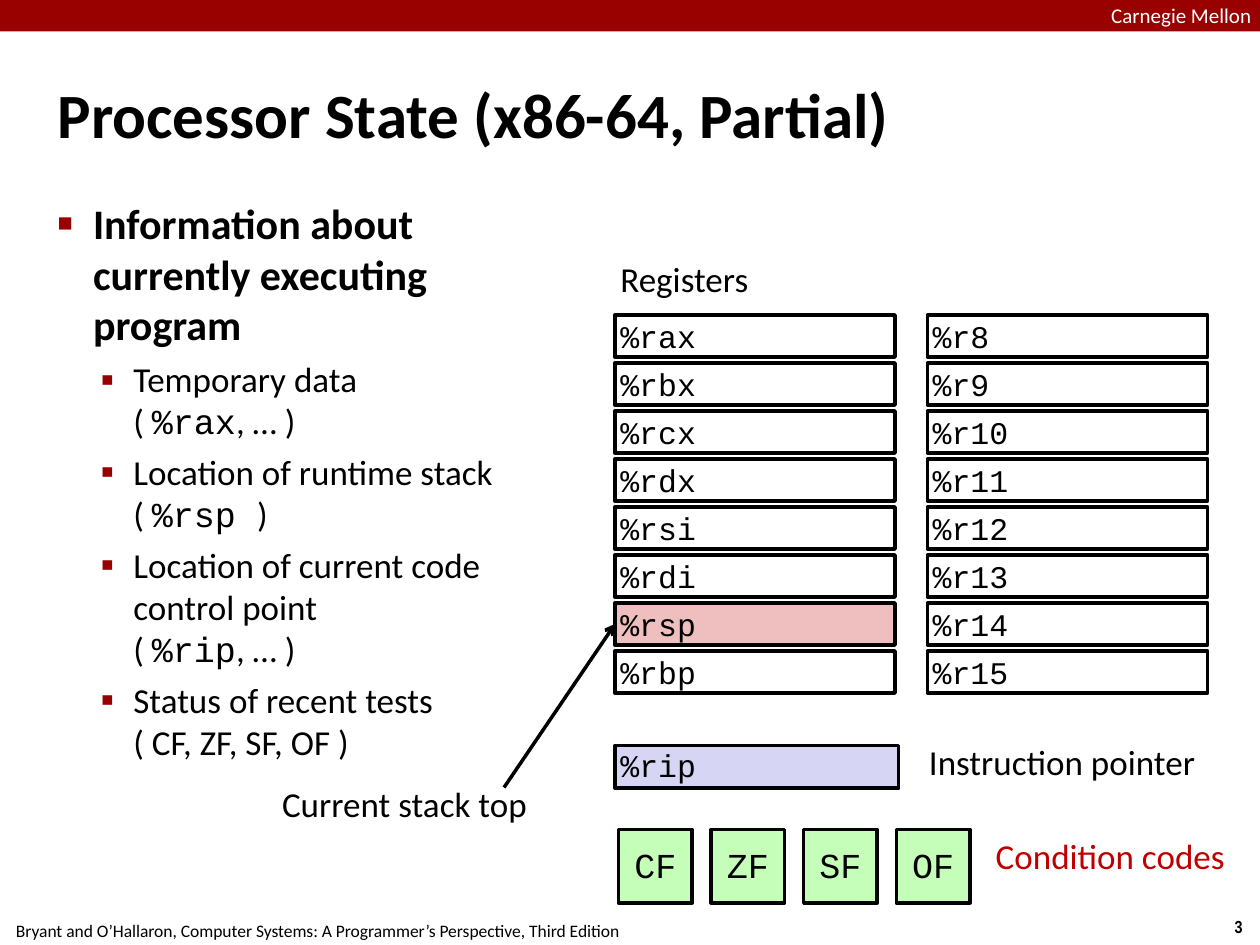
from dataclasses import dataclass
from typing import Optional

from lxml import etree
from pptx import Presentation
from pptx.dml.color import RGBColor
from pptx.enum.shapes import MSO_CONNECTOR, MSO_SHAPE
from pptx.enum.text import MSO_ANCHOR, MSO_AUTO_SIZE, PP_ALIGN
from pptx.oxml.ns import qn
from pptx.util import Pt

LEFT, CENTER = PP_ALIGN.LEFT, PP_ALIGN.CENTER
TOP, MIDDLE = MSO_ANCHOR.TOP, MSO_ANCHOR.MIDDLE
RECT, STRAIGHT = MSO_SHAPE.RECTANGLE, MSO_CONNECTOR.STRAIGHT
NO_FIT = MSO_AUTO_SIZE.NONE
SANS, MONO, NARROW = "Calibri", "Courier New", "Arial Narrow"
BLACK, WHITE, RED = "000000", "FFFFFF", "990000"
INSET = 3


@dataclass
class Label:
    text: str
    x: float
    y: float
    w: float
    h: float
    size: float = 20
    color: str = BLACK
    align: PP_ALIGN = LEFT
    font: str = SANS
    bold: bool = False
    wrap: bool = False
    inset_x: float = INSET
    inset_y: float = INSET


@dataclass
class Box:
    text: str
    x: float
    y: float
    w: float
    h: float
    fill: Optional[str] = None
    size: float = 18
    align: PP_ALIGN = LEFT
    spacing: float = 1.0


@dataclass
class Bullet:
    runs: list[tuple[str, str]]
    level: int = 1


@dataclass
class BulletStyle:
    char: str
    percent: int
    margin: float
    indent: float
    before: float
    size: float
    bold: bool


STYLES = [
    BulletStyle("■", 60, 20.16, -20.16, 6, 24, True),
    BulletStyle("▪", 110, 43.2, -18.72, 5, 20, False),
]

BULLETS = [
    Bullet([("Information about currently executing program", SANS)], 0),
    Bullet([("Temporary data\n( ", SANS), ("%rax", MONO), (", … )", SANS)]),
    Bullet([("Location of runtime stack\n( ", SANS), ("%rsp ", MONO), (")", SANS)]),
    Bullet([("Location of current code control point\n( ", SANS),
            ("%rip", MONO), (", … )", SANS)]),
    Bullet([("Status of recent tests\n( CF, ZF, SF, OF )", SANS)]),
]

LABELS = [
    Label("3", 695.52, 519.84, 24.48, 19.44, 10, align=CENTER, font=NARROW,
          bold=True, inset_x=7.2, inset_y=3.6),
    Label("Bryant and O’Hallaron, Computer Systems: A Programmer’s Perspective, "
          "Third Edition", 0, 522, 362.88, 19.44, 10, align=CENTER,
          inset_x=7.2, inset_y=3.6),
    Label("Carnegie Mellon", 635, 1.44, 85, 13.68, 12, WHITE, wrap=True,
          inset_x=0, inset_y=0),
    Label("Registers", 351.5, 144, 80.64, 30),
    Label("Current stack top", 156.24, 444, 149.76, 30, align=CENTER),
    Label("Instruction pointer", 525.6, 420, 162.72, 30, align=CENTER),
    Label("Condition codes", 566, 474, 141.84, 35.28, color="C00000", wrap=True),
]

REGISTER_COLUMNS = [
    (351.5, ["%rax", "%rbx", "%rcx", "%rdx", "%rsi", "%rdi", "%rsp", "%rbp"]),
    (530, [f"%r{n}" for n in range(8, 16)]),
]
REGISTER_TOP, REGISTER_PITCH = 180, 27.43
REGISTER_W, REGISTER_H = 160, 24
FLAG_LEFT, FLAG_PITCH, FLAG_SIDE = 353.5, 52.9, 42


def rgb(color: str) -> RGBColor:
    return RGBColor.from_string(color)


def set_frame(tf, anchor, wrap: bool, inset_x: float = INSET, inset_y: float = INSET) -> None:
    tf.auto_size = NO_FIT
    tf.word_wrap = wrap
    tf.vertical_anchor = anchor
    tf.margin_left = tf.margin_right = Pt(inset_x)
    tf.margin_top = tf.margin_bottom = Pt(inset_y)


def add_run(p, text: str, size: float, color: str = BLACK, font: str = SANS,
            bold: bool = False) -> None:
    for i, line in enumerate(text.split("\n")):
        if i:
            p.add_line_break()
        r = p.add_run()
        r.text = line
        r.font.size, r.font.name, r.font.bold = Pt(size), font, bold
        r.font.color.rgb = rgb(color)


def set_indent(p, margin: float, indent: float):
    pPr = p._p.get_or_add_pPr()
    pPr.set("marL", str(Pt(margin)))
    pPr.set("indent", str(Pt(indent)))
    return pPr


def place(sp, x: float, y: float, w: float, h: float) -> None:
    sp.left, sp.top, sp.width, sp.height = Pt(x), Pt(y), Pt(w), Pt(h)


def fill_title(sp, text: str) -> None:
    place(sp, 30, 20, 660, 90)
    set_frame(sp.text_frame, MIDDLE, True)
    p = sp.text_frame.paragraphs[0]
    p.alignment = LEFT
    set_indent(p, 9.36, -9.36)
    add_run(p, text, 36, bold=True)


def fill_body(sp, bullets: list[Bullet]) -> None:
    place(sp, 30, 110, 263, 427.5)
    tf = sp.text_frame
    set_frame(tf, TOP, True)
    for i, bullet in enumerate(bullets):
        p = tf.add_paragraph() if i else tf.paragraphs[0]
        style = STYLES[bullet.level]
        p.level = bullet.level
        pPr = set_indent(p, style.margin, style.indent)
        color = etree.SubElement(pPr, qn("a:buClr"))
        etree.SubElement(color, qn("a:srgbClr"), val=RED)
        etree.SubElement(pPr, qn("a:buSzPct"), val=str(style.percent * 1000))
        etree.SubElement(pPr, qn("a:buChar"), char=style.char)
        p.space_before = Pt(style.before if i else 0)
        for text, font in bullet.runs:
            add_run(p, text, style.size, font=font, bold=style.bold)


def add_label(shapes, label: Label) -> None:
    sp = shapes.add_textbox(Pt(label.x), Pt(label.y), Pt(label.w), Pt(label.h))
    set_frame(sp.text_frame, TOP, label.wrap, label.inset_x, label.inset_y)
    p = sp.text_frame.paragraphs[0]
    p.alignment = label.align
    add_run(p, label.text, label.size, label.color, label.font, label.bold)


def add_box(shapes, box: Box):
    sp = shapes.add_shape(RECT, Pt(box.x), Pt(box.y), Pt(box.w), Pt(box.h))
    sp.shadow.inherit = False
    if box.fill:
        sp.fill.solid()
        sp.fill.fore_color.rgb = rgb(box.fill)
    else:
        sp.fill.background()
    sp.line.color.rgb = rgb(BLACK)
    sp.line.width = Pt(2)
    set_frame(sp.text_frame, MIDDLE, True)
    p = sp.text_frame.paragraphs[0]
    p.alignment, p.line_spacing = box.align, box.spacing
    add_run(p, box.text, box.size, font=MONO)
    return sp


def add_arrow(shapes, x: float, y: float, target) -> None:
    line = shapes.add_connector(STRAIGHT, Pt(x), Pt(y), target.left, target.top)
    line.end_connect(target, 1)
    line.line.color.rgb = rgb(BLACK)
    line.line.width = Pt(2)
    etree.SubElement(line.line._get_or_add_ln(), qn("a:tailEnd"), type="arrow")
    etree.SubElement(line._element.spPr, qn("a:effectLst"))


def main() -> None:
    prs = Presentation()
    prs.slide_width, prs.slide_height = Pt(720), Pt(540)
    slide = prs.slides.add_slide(prs.slide_layouts[1])
    shapes = slide.shapes
    fill_title(shapes.title, "Processor State (x86-64, Partial)")
    fill_body(slide.placeholders[1], BULLETS)

    banner = shapes.add_shape(RECT, 0, 0, Pt(720), Pt(18))
    banner.shadow.inherit = False
    banner.fill.solid()
    banner.fill.fore_color.rgb = rgb(RED)
    banner.line.fill.background()

    for label in LABELS:
        add_label(shapes, label)

    registers = {}
    for x, names in REGISTER_COLUMNS:
        for row, name in enumerate(names):
            fill = "EFBFBF" if name == "%rsp" else None
            y = REGISTER_TOP + row * REGISTER_PITCH
            registers[name] = add_box(shapes, Box(name, x, y, REGISTER_W, REGISTER_H, fill))
    add_box(shapes, Box("%rip", 351.5, 426, 162, 24.5, "D6D6F4", spacing=0.95))
    for i, flag in enumerate(["CF", "ZF", "SF", "OF"]):
        add_box(shapes, Box(flag, FLAG_LEFT + i * FLAG_PITCH, 474, FLAG_SIDE, FLAG_SIDE,
                            "C5FEB8", 20, CENTER, 0.95))
    add_arrow(shapes, 288, 450, registers["%rsp"])
    prs.save("out.pptx")


if __name__ == "__main__":
    main()
